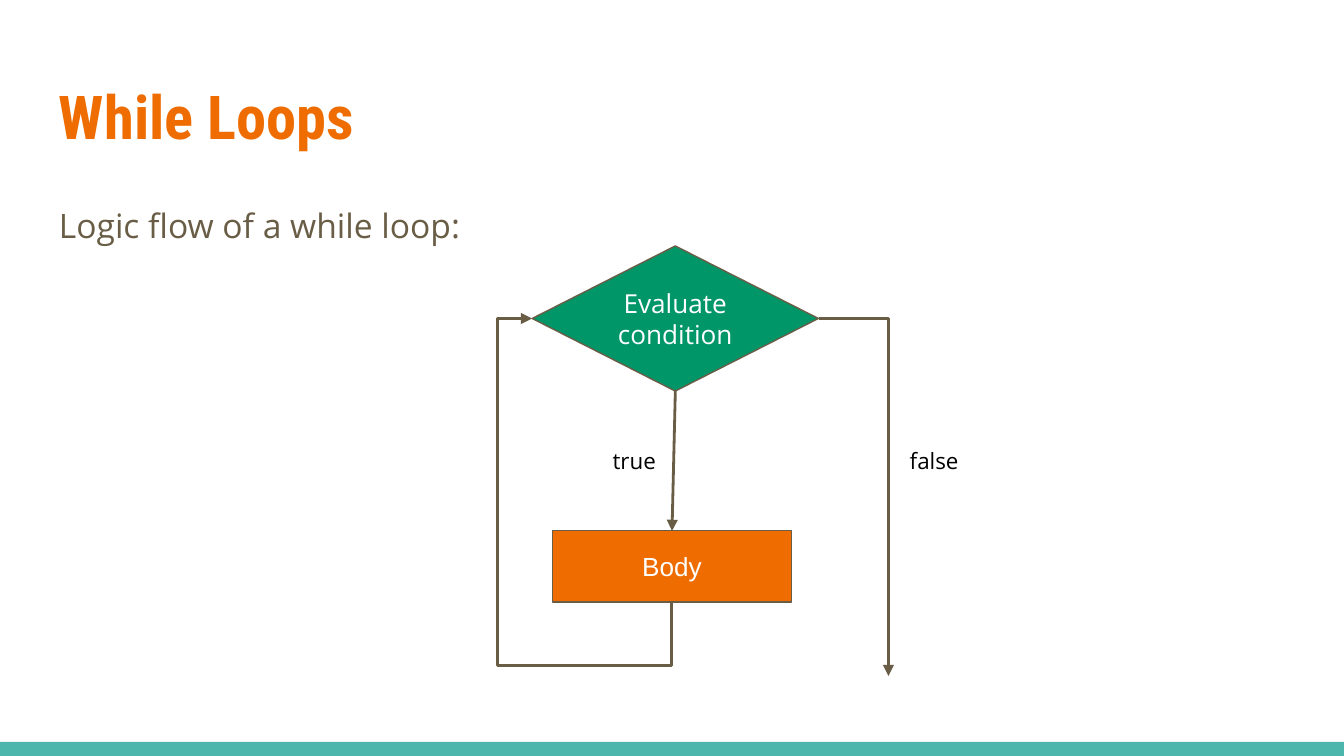
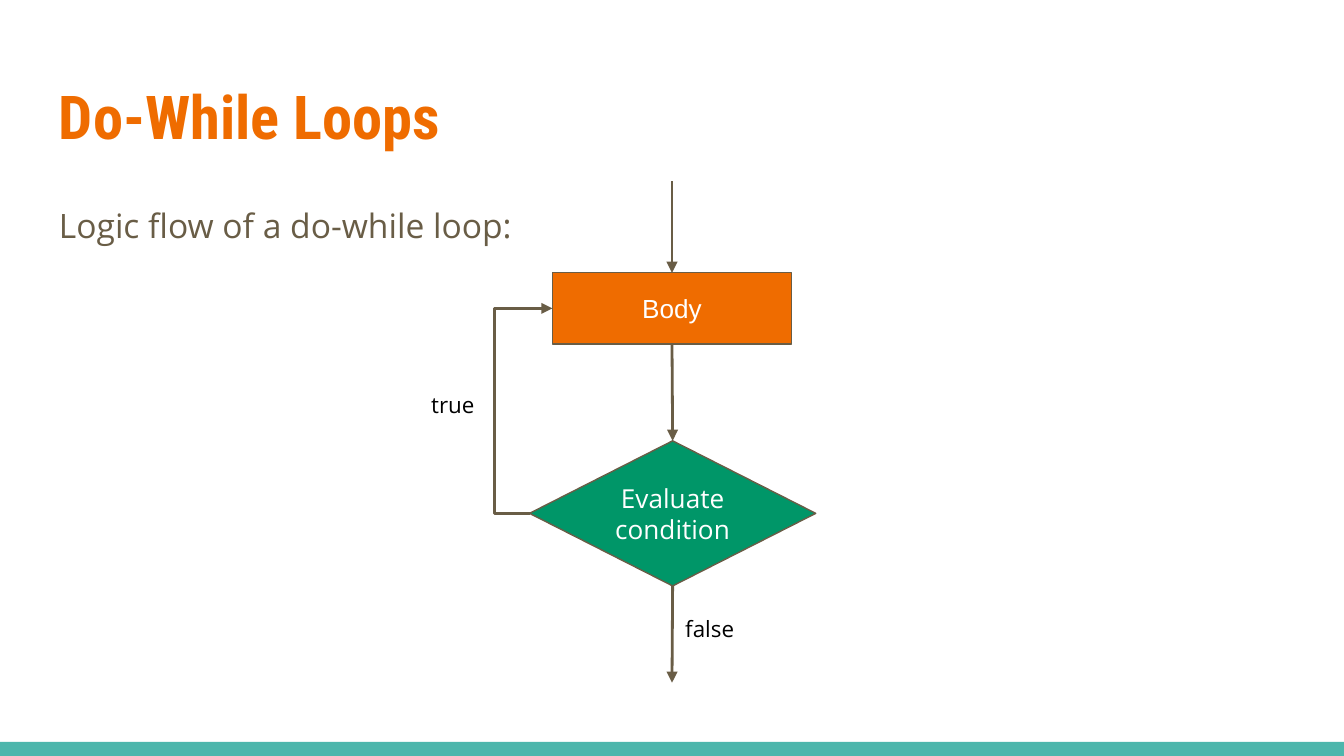
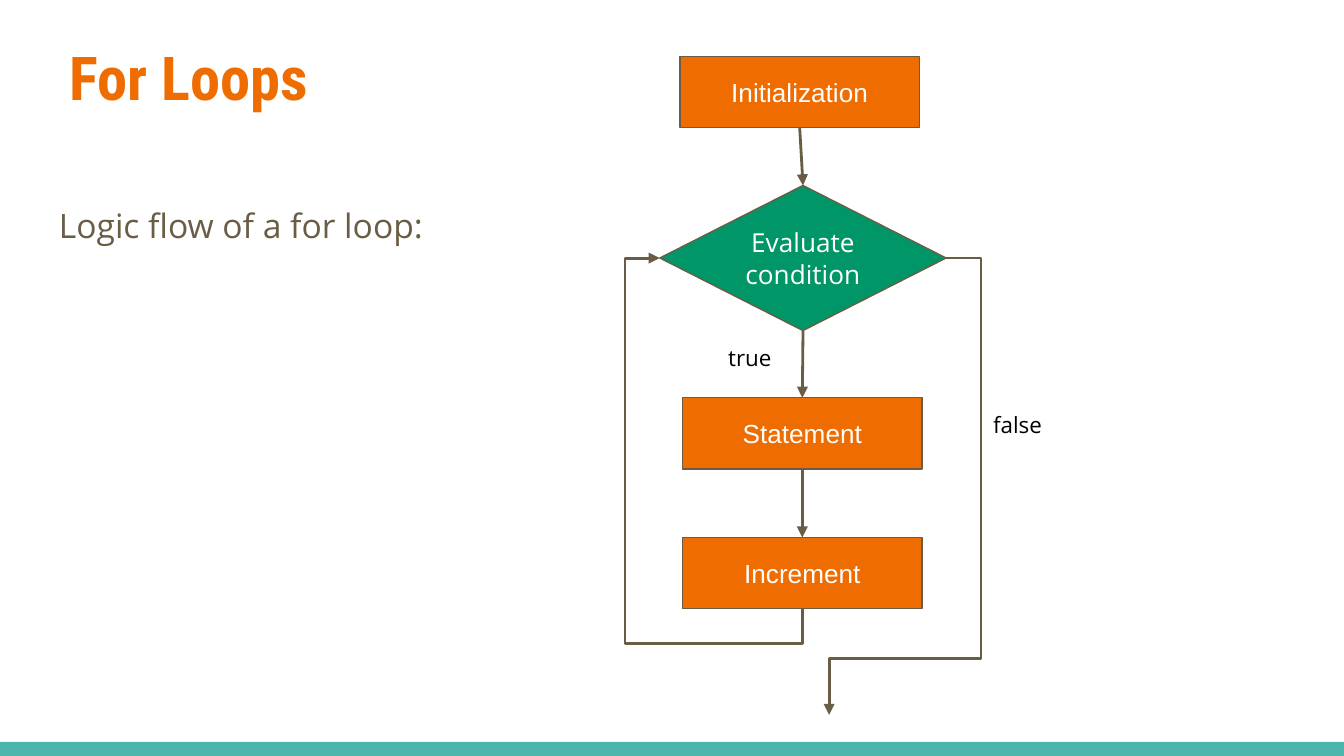
from lxml.etree import SubElement
from pptx import Presentation
from pptx.dml.color import RGBColor
from pptx.enum.shapes import MSO_CONNECTOR as CONN, MSO_SHAPE as SHAPE
from pptx.enum.text import MSO_ANCHOR as ANCHOR, PP_ALIGN as ALIGN
from pptx.oxml.ns import qn
from pptx.util import Inches, Pt

COLORS = {
    "title": "EF6C00",
    "text": "695D46",
    "step": "EF6C00",
    "test": "009668",
    "band": "4DB6AC",
    "white": "FFFFFF",
    "black": "000000",
}
FORMATS = {
    "title": {"name": "Roboto Condensed", "size": Pt(32.4), "bold": True},
    "body": {"name": "Open Sans", "size": Pt(18)},
    "test": {"name": "Open Sans", "size": Pt(14)},
    "step": {"name": "Arial", "size": Pt(14)},
    "label": {"name": "Open Sans", "size": Pt(12)},
}
TEST_W, TEST_H = 2.13, 1.08
STEP_W, STEP_H = 1.78, 0.53
LOOP_GAP = 0.26


def rgb(name):
    return RGBColor.from_string(COLORS[name])


def write(sp, text, style, color, align=ALIGN.LEFT, anchor=ANCHOR.TOP, spacing=1.0):
    tf = sp.text_frame
    frame = {"word_wrap": True, "vertical_anchor": anchor}
    frame.update({f"margin_{side}": Inches(0.1) for side in ("left", "top", "right", "bottom")})
    for key, value in frame.items():
        setattr(tf, key, value)
    p = tf.paragraphs[0]
    p.alignment = align
    p.line_spacing = spacing
    r = p.add_run()
    r.text = text
    for key, value in FORMATS[style].items():
        setattr(r.font, key, value)
    r.font.color.rgb = rgb(color)


def add_text(s, x, y, w, h, text, style, color, spacing=1.0):
    box = s.shapes.add_textbox(Inches(x), Inches(y), Inches(w), Inches(h))
    write(box, text, style, color, spacing=spacing)


def add_filled(s, kind, x, y, w, h, fill):
    sp = s.shapes.add_shape(kind, Inches(x), Inches(y), Inches(w), Inches(h))
    sp.shadow.inherit = False
    sp.fill.solid()
    sp.fill.fore_color.rgb = rgb(fill)
    sp.line.fill.background()
    return sp


def add_node(s, kind, x, y, w, h, text, style):
    sp = add_filled(s, kind, x, y, w, h, style)
    sp.line.color.rgb = rgb("text")
    sp.line.width = Pt(0.75)
    write(sp, text, style, "white", ALIGN.CENTER, ANCHOR.MIDDLE)
    return sp


def add_step(s, x, y, text):
    return add_node(s, SHAPE.RECTANGLE, x, y, STEP_W, STEP_H, text, "step")


def add_test(s, x, y):
    return add_node(s, SHAPE.DIAMOND, x, y, TEST_W, TEST_H, "Evaluate condition", "test")


def add_label(s, x, y, text):
    add_text(s, x, y, 0.56 if text == "true" else 0.81, 0.4, text, "label", "black")


def side(sp, name):
    cx, cy = sp.left + sp.width / 2, sp.top + sp.height / 2
    return {
        "top": (cx, sp.top),
        "left": (sp.left, cy),
        "bottom": (cx, sp.top + sp.height),
        "right": (sp.left + sp.width, cy),
    }[name]


def point(x, y):
    return Inches(x), Inches(y)


def add_arrow(s, start, end, kind=CONN.STRAIGHT):
    c = s.shapes.add_connector(kind, *map(round, (*start, *end)))
    c.line.color.rgb = rgb("text")
    c.line.width = Pt(1.5)
    spPr = c._element.spPr
    SubElement(spPr.find(qn("a:ln")), qn("a:tailEnd"), type="triangle")
    SubElement(spPr, qn("a:effectLst"))
    return c


def link(s, upper, lower):
    c = add_arrow(s, side(upper, "bottom"), side(lower, "top"))
    c.begin_connect(upper, 2)
    c.end_connect(lower, 0)


def add_bent(s, start, end, preset, adjusts=(), turned=False):
    if turned:
        cx, cy = ((a + b) / 2 for a, b in zip(start, end))
        start, end = ((cx + y - cy, cy - x + cx) for x, y in (start, end))
    c = add_arrow(s, start, end, CONN.ELBOW)
    spPr = c._element.spPr
    if turned:
        spPr.find(qn("a:xfrm")).set("rot", "5400000")
    geom = spPr.find(qn("a:prstGeom"))
    geom.set("prst", preset)
    guides = geom.find(qn("a:avLst"))
    for n, value in enumerate(adjusts, 1):
        SubElement(guides, qn("a:gd"), name=f"adj{n}", fmla=f"val {round(value * 100000)}")


def loop_back(s, last, test, drop):
    start, end = side(last, "bottom"), side(test, "left")
    adjusts = (
        -Inches(drop) / (start[1] - end[1]),
        1 + Inches(LOOP_GAP) / (start[0] - end[0]),
    )
    add_bent(s, start, end, "bentConnector4", adjusts, turned=True)


def while_flow(s, x, y):
    test = add_test(s, x + LOOP_GAP, y)
    body = add_step(s, x + 0.41, y + 2.12, "Body")
    link(s, test, body)
    loop_back(s, body, test, 0.47)
    add_bent(s, side(test, "right"), point(x + 2.91, y + 3.2), "bentConnector2")
    add_label(s, x + 0.76, y + 1.4, "true")
    add_label(s, x + 2.97, y + 1.4, "false")


def do_while_flow(s, x, y):
    body = add_step(s, x + 0.43, y + 0.68, "Body")
    test = add_test(s, x + LOOP_GAP, y + 1.93)
    mid = x + 1.32
    add_arrow(s, point(mid, y), side(body, "top"))
    link(s, body, test)
    start, end = side(test, "left"), side(body, "left")
    add_bent(s, start, end, "bentConnector3", [-Inches(LOOP_GAP) / (end[0] - start[0])])
    add_arrow(s, side(test, "bottom"), point(mid, y + 3.73))
    add_label(s, x - 0.57, y + 1.46, "true")
    add_label(s, mid, y + 3.13, "false")


def for_flow(s, x, y):
    first = add_step(s, x + 0.41, y, "Initialization")
    test = add_test(s, x + LOOP_GAP, y + 0.96)
    statement, increment = (
        add_step(s, x + 0.43, y + 2.54 + i * 1.04, text)
        for i, text in enumerate(("Statement", "Increment"))
    )
    for upper, lower in ((first, test), (test, statement), (statement, increment)):
        link(s, upper, lower)
    loop_back(s, increment, test, LOOP_GAP)
    start, end = side(test, "right"), point(x + 1.52, y + 4.9)
    adjusts = (
        -Inches(LOOP_GAP) / (start[0] - end[0]),
        1 - Inches(0.42) / (end[1] - start[1]),
    )
    add_bent(s, start, end, "bentConnector4", adjusts)
    add_label(s, x + 0.67, y + 2.04, "true")
    add_label(s, x + 2.64, y + 2.54, "false")


def loop_slide(prs, name, title_at, flow, flow_at):
    s = prs.slides.add_slide(prs.slide_layouts[6])
    add_filled(s, SHAPE.RECTANGLE, 0, 5.52, 10, 0.11, "band")
    add_text(s, *title_at, 9.32, 0.77, f"{name} Loops", "title", "title")
    intro = f"Logic flow of a {name.lower()} loop:"
    add_text(s, 0.34, 1.38, 9.32, 0.65, intro, "body", "text", 1.15)
    flow(s, *flow_at)


def main():
    prs = Presentation()
    prs.slide_width = Inches(10)
    prs.slide_height = prs.slide_width * 9 // 16
    loop_slide(prs, "While", (0.34, 0.49), while_flow, (3.7, 1.83))
    loop_slide(prs, "Do-While", (0.34, 0.49), do_while_flow, (3.68, 1.35))
    loop_slide(prs, "For", (0.42, 0.2), for_flow, (4.65, 0.42))
    prs.save("out.pptx")


if __name__ == "__main__":
    main()
